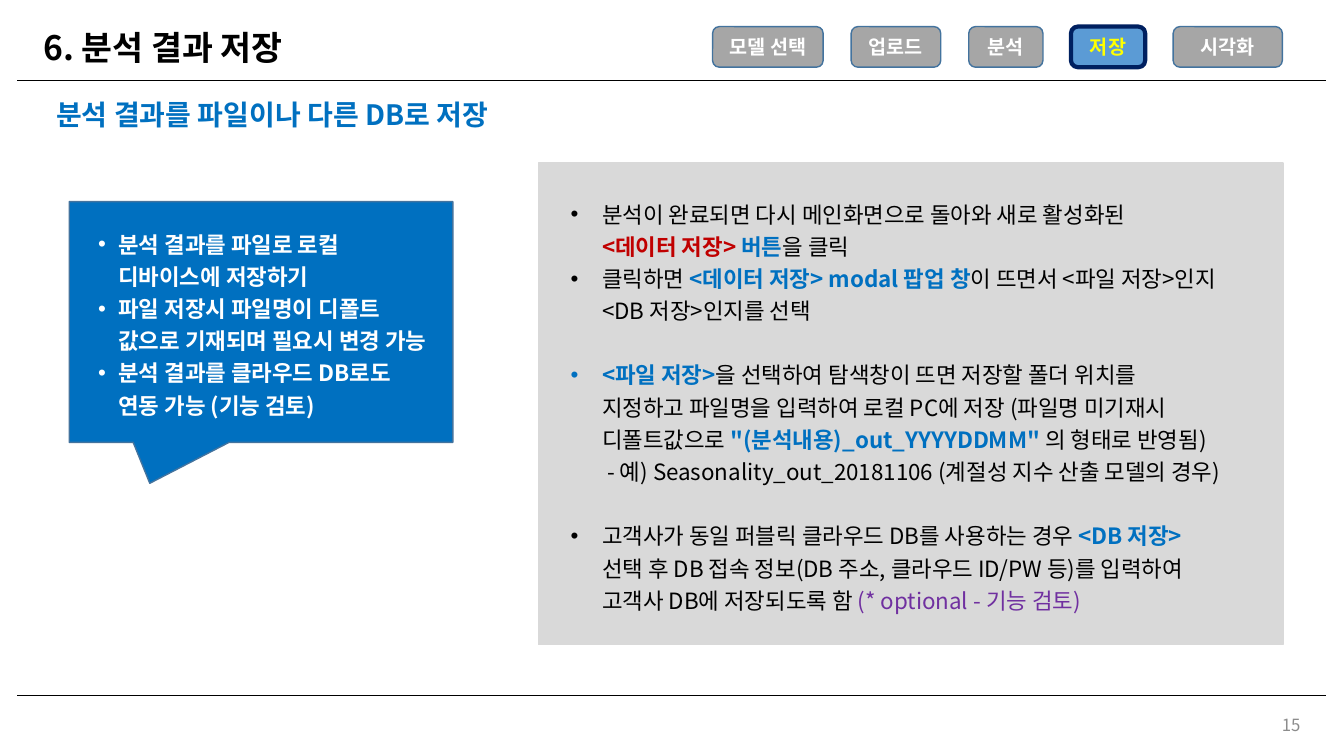
from dataclasses import dataclass

import pptx
import pptx.dml.color
import pptx.enum.shapes
import pptx.enum.text
import pptx.oxml
import pptx.oxml.ns
import pptx.util
from pptx.slide import Slide

Pt = pptx.util.Pt
Shapes = pptx.enum.shapes.MSO_SHAPE
Align = pptx.enum.text.PP_ALIGN
Anchor = pptx.enum.text.MSO_ANCHOR

FONT = "Noto Sans CJK KR"
BLACK, WHITE, BLUE, RED, PURPLE = "000000", "FFFFFF", "0070C0", "C00000", "7030A0"
GREY, PANEL_GREY, EDGE_BLUE = "A6A6A6", "D9D9D9", "43739E"
LINE_PITCH = Pt(23)


@dataclass
class Box:
    left: float
    top: float
    width: float
    height: float

    def lengths(self) -> list:
        return [Pt(value) for value in (self.left, self.top, self.width, self.height)]


@dataclass
class Run:
    text: str
    color: str = BLACK
    bold: bool = False
    size: float = 16


@dataclass
class Bullet:
    runs: list[Run]
    space_before: float = 0


@dataclass
class Step:
    label: str
    width: float
    current: bool = False


def rgb(color: str) -> pptx.dml.color.RGBColor:
    return pptx.dml.color.RGBColor.from_string(color)


def add_runs(paragraph, runs: list[Run]) -> None:
    """Add styled runs; a newline in the text becomes a line break."""
    for run in runs:
        for index, part in enumerate(run.text.split("\n")):
            if index:
                paragraph.add_line_break()
            if not part:
                continue
            text_run = paragraph.add_run()
            text_run.text = part
            font = text_run.font
            font.size, font.bold, font.name = Pt(run.size), run.bold, FONT
            font.color.rgb = rgb(run.color)
            east_asian = pptx.oxml.parse_xml(
                f'<a:ea {pptx.oxml.ns.nsdecls("a")} typeface="{FONT}"/>')
            font._element.append(east_asian)


def add_bullets(text_frame, bullets: list[Bullet], margin: float, hanging: float) -> None:
    for index, bullet in enumerate(bullets):
        paragraph = text_frame.add_paragraph() if index else text_frame.paragraphs[0]
        paragraph.alignment = Align.LEFT
        paragraph.line_spacing = LINE_PITCH
        if bullet.space_before:
            paragraph.space_before = Pt(bullet.space_before)
        properties = paragraph._p.get_or_add_pPr()
        properties.set("marL", str(Pt(margin)))
        properties.set("indent", str(-Pt(hanging)))
        for tag in ('buFont typeface="Arial"', 'buChar char="•"'):
            properties.append(pptx.oxml.parse_xml(
                f'<a:{tag} {pptx.oxml.ns.nsdecls("a")}/>'))
        add_runs(paragraph, bullet.runs)


def add_text_frame(slide: Slide, box: Box, anchor=Anchor.MIDDLE):
    text_frame = slide.shapes.add_textbox(*box.lengths()).text_frame
    text_frame.word_wrap = True
    text_frame.vertical_anchor = anchor
    return text_frame


def add_label(slide: Slide, box: Box, run: Run, align=Align.LEFT, spacing: float = 1) -> None:
    paragraph = add_text_frame(slide, box).paragraphs[0]
    paragraph.alignment = align
    paragraph.line_spacing = spacing
    add_runs(paragraph, [run])


def add_panel(slide: Slide, kind, box: Box, fill: str, edge: str, edge_width: float = 1):
    shape = slide.shapes.add_shape(kind, *box.lengths())
    shape.shadow.inherit = False
    shape.fill.solid()
    shape.fill.fore_color.rgb = rgb(fill)
    shape.line.color.rgb = rgb(edge)
    shape.line.width = Pt(edge_width)
    shape.text_frame.word_wrap = True
    shape.text_frame.vertical_anchor = Anchor.MIDDLE
    return shape


def add_rule(slide: Slide, y: float) -> None:
    """Draw a thin horizontal line across the slide."""
    connector = slide.shapes.add_connector(
        pptx.enum.shapes.MSO_CONNECTOR.STRAIGHT, Pt(12.5), Pt(y), Pt(947), Pt(y))
    connector.line.color.rgb = rgb(BLACK)
    connector.line.width = Pt(1)
    connector._element.spPr.append(pptx.oxml.parse_xml(
        f'<a:effectLst {pptx.oxml.ns.nsdecls("a")}/>'))


def add_steps(slide: Slide, steps: list[Step], left: float, gap: float) -> None:
    for step in steps:
        fill, edge, edge_width, color = (
            ("5B9BD5", "002060", 3, "FFFF00") if step.current
            else (GREY, EDGE_BLUE, 1, WHITE))
        button = add_panel(slide, Shapes.ROUNDED_RECTANGLE,
                           Box(left, 19, step.width, 29), fill, edge, edge_width)
        paragraph = button.text_frame.paragraphs[0]
        paragraph.alignment = Align.CENTER
        add_runs(paragraph, [Run(step.label, color, True, 14)])
        left += step.width + gap


STEPS = [Step("모델 선택", 79), Step("업로드", 64), Step("분석", 53),
         Step("저장", 53, current=True), Step("시각화", 78)]

SUMMARY = [Bullet([Run(text, WHITE, True)]) for text in (
    "분석 결과를 파일로 로컬 디바이스에 저장하기",
    "파일 저장시 파일명이 디폴트 값으로 기재되며 필요시 변경 가능",
    "분석 결과를 클라우드 DB로도\n연동 가능 (기능 검토)",
)]

DETAILS = [
    Bullet([Run("분석이 완료되면 다시 메인화면으로 돌아와 새로 활성화된\n"),
            Run("<데이터 저장> ", RED, True),
            Run("버튼", BLUE, True),
            Run("을 클릭")]),
    Bullet([Run("클릭하면 "),
            Run("<데이터 저장> modal 팝업 창", BLUE, True),
            Run("이 뜨면서 <파일 저장>인지 <DB 저장>인지를 선택")]),
    Bullet([Run("<파일 저장>", BLUE, True),
            Run("을 선택하여 탐색창이 뜨면 저장할 폴더 위치를 \n"
                "지정하고 파일명을 입력하여 로컬 PC에 저장 (파일명 미기재시\n"
                "디폴트값으로 "),
            Run('"(분석내용)_out_YYYYDDMM" ', BLUE, True),
            Run("의 형태로 반영됨)\n"
                " - 예) Seasonality_out_20181106 (계절성 지수 산출 모델의 경우)")],
           space_before=23),
    Bullet([Run("고객사가 동일 퍼블릭 클라우드 DB를 사용하는 경우 "),
            Run("<DB 저장>\n", BLUE, True),
            Run("선택 후 DB 접속 정보(DB 주소, 클라우드 ID/PW 등)를 입력하여\n"
                "고객사 DB에 저장되도록 함 "),
            Run("(* optional - 기능 검토)", PURPLE)],
           space_before=23),
]


def main() -> None:
    presentation = pptx.Presentation()
    presentation.slide_width, presentation.slide_height = Pt(960), Pt(540)
    slide = presentation.slides.add_slide(presentation.slide_layouts[6])

    add_label(slide, Box(720, 503, 216, 29), Run("15", "8C8C8C", size=12), Align.RIGHT)
    for y in (497, 57.5):
        add_rule(slide, y)
    add_label(slide, Box(24, 14.5, 906, 42.5),
              Run("6. 분석 결과 저장", BLACK, True, 24), spacing=0.9)
    add_label(slide, Box(33, 65.5, 896, 35),
              Run("분석 결과를 파일이나 다른 DB로 저장", BLUE, True, 20), spacing=0.9)

    add_panel(slide, Shapes.RECTANGLE, Box(384.5, 116.5, 532, 344), PANEL_GREY, PANEL_GREY)
    details = add_text_frame(slide, Box(400.5, 136, 500.5, 309.5), Anchor.TOP)
    add_bullets(details, DETAILS, margin=22.5, hanging=22.5)

    callout = add_panel(slide, Shapes.RECTANGULAR_CALLOUT,
                        Box(49.5, 144, 274, 172), BLUE, EDGE_BLUE)
    callout.adjustments[0], callout.adjustments[1] = -0.29, 0.67
    add_bullets(callout.text_frame, SUMMARY, margin=28, hanging=14.5)

    add_steps(slide, STEPS, left=509, gap=20)
    presentation.save("out.pptx")


if __name__ == "__main__":
    main()
